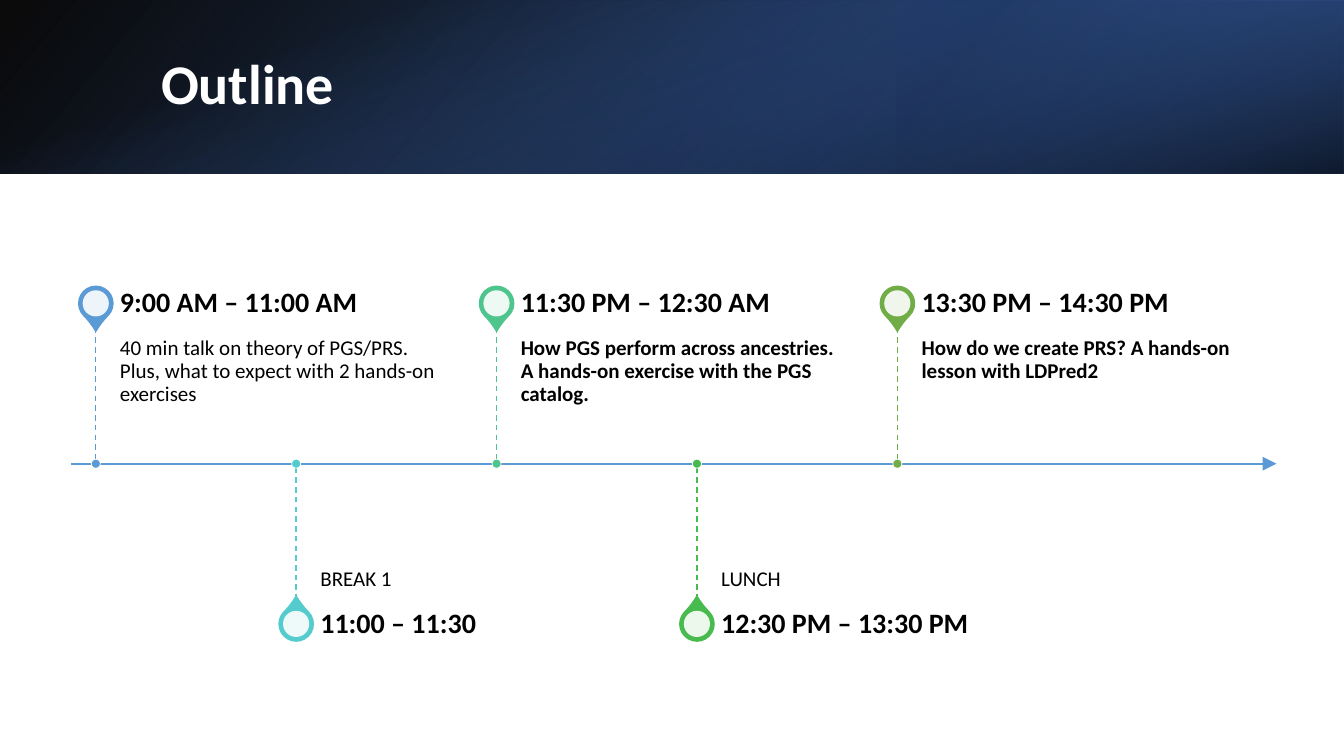
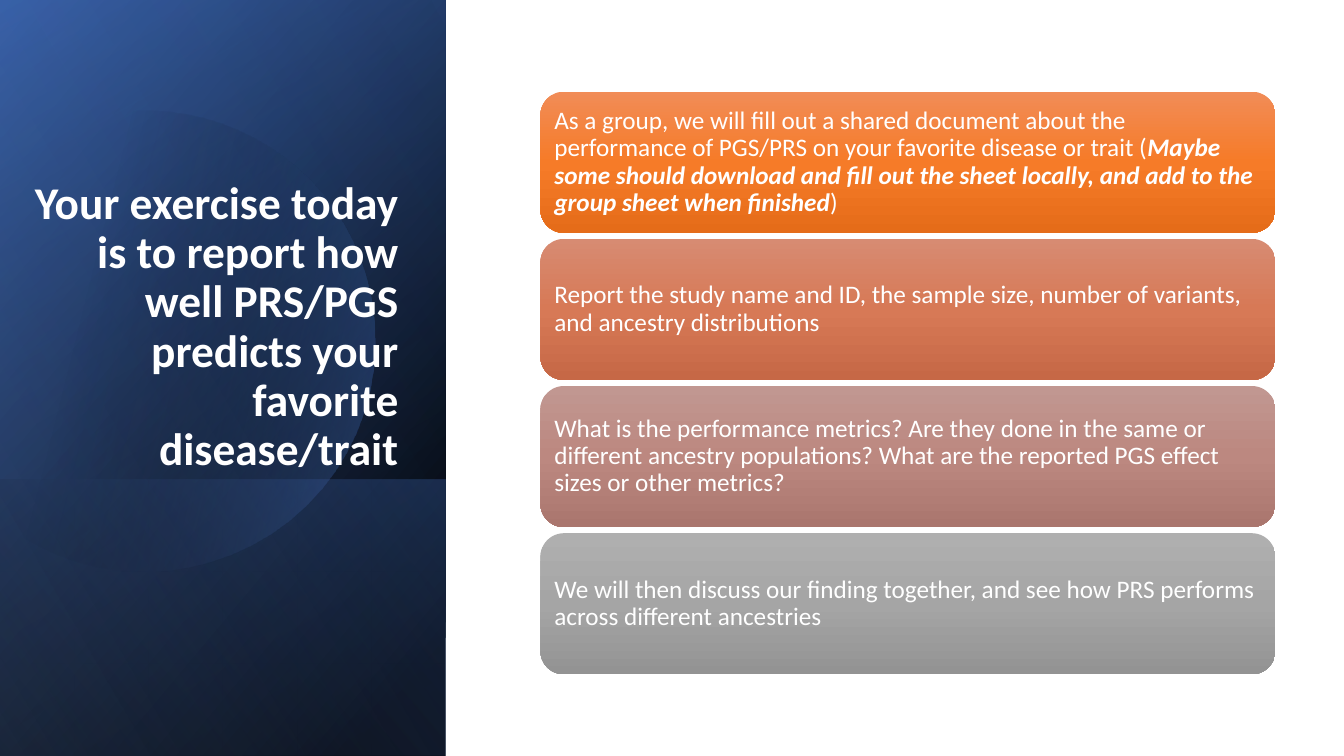
"""Build a two-slide workshop deck: a timeline outline and an exercise brief."""
from lxml.etree import SubElement
from pptx import Presentation
from pptx.dml.color import RGBColor
from pptx.enum.dml import MSO_LINE
from pptx.enum.shapes import MSO_CONNECTOR, MSO_SHAPE as SHAPE
from pptx.enum.text import MSO_ANCHOR as ANCHOR, PP_ALIGN as ALIGN
from pptx.oxml.ns import qn
from pptx.util import Inches, Pt

FONT = "Calibri"
COLORS = {
    "black": "000000", "white": "FFFFFF", "navy": "203864", "deep": "2F5597",
    "royal": "4472C4", "pale": "8FAADC", "sky": "5B9BD5", "aqua": "54CCCD",
    "mint": "4DC58D", "green": "48BB4F", "olive": "70AD47",
}

OUTLINE_TITLE = "Outline"
MILESTONES = [
    ("9:00 AM – 11:00 AM", "40 min talk on theory of PGS/PRS.\vPlus, what to expect with 2 hands-on exercises",
     "sky", False),
    ("11:00 – 11:30", "BREAK 1", "aqua", False),
    ("11:30 PM – 12:30 AM", "How PGS perform across ancestries. A hands-on exercise with the PGS catalog.",
     "mint", True),
    ("12:30 PM – 13:30 PM", "LUNCH", "green", False),
    ("13:30 PM – 14:30 PM", "How do we create PRS? A hands-on lesson with LDPred2", "olive", True),
]

EXERCISE_TITLE = "Your exercise today is to report how well PRS/PGS predicts your favorite disease/trait"
TASKS = [
    (["As a group, we will fill out a shared document about the performance of PGS/PRS on your favorite "
      "disease or trait (",
      "Maybe some should download and fill out the sheet locally, and add to the group sheet when finished",
      ")"], ("F18C57", "F67B28", "E56C19")),
    (["Report the study name and ID, the sample size, number of variants, and ancestry distributions"],
     ("D78B72", "D77956", "C66846")),
    (["What is the performance metrics? Are they done in the same or different ancestry populations? "
      "What are the reported PGS effect sizes or other metrics?"], ("C19791", "BC8880", "AA766E")),
    (["We will then discuss our finding together, and see how PRS performs across different ancestries"],
     ("AFAFAF", "A5A5A5", "939393")),
]

HEADER_LAYERS = [
    ((0, 0, 13.33, 1.72), 0, True, 140, [(0, "black", 96), (100, "deep", 100)]),
    ((8.89, 0, 4.44, 1.72), 180, True, 320, [(19, "navy", 68), (100, "royal", 79)]),
    ((5.8, -5.8, 1.72, 13.33), 90, False, 340, [(23, "royal", 0), (99, "black", 74)]),
]
PANEL = (-1.54, 1.54, 7.5, 4.42)
PANEL_LAYERS = [
    (PANEL, 90, True, 50, [(8, "black", 100), (100, "deep", 100)]),
    (PANEL, 90, True, 30, [(0, "black", 0), (99, "royal", 46)]),
    ((0.84, 3.92, 2.74, 4.42), 90, True, 130, [(2, "royal", 29), (100, "black", 30)]),
]
PANEL_SHEEN = (PANEL, 90, True, 120, [(0, "black", 0), (99, "pale", 11)])

DISC_START = (1.49, 1.1)
DISC_RIGHT = [
    ((2.46, 1.12), (3.35, 1.77), (3.63, 2.75)),
    ((3.98, 3.97), (3.28, 5.23), (2.07, 5.58)),
    ((1.31, 5.8), (0.53, 5.61), (-0.03, 5.14)),
]
DISC_EDGE = [(-0.15, 5.03), (-0.15, 1.75), (0, 1.61)]
DISC_TOP = [
    ((0.23, 1.42), (0.5, 1.28), (0.8, 1.19)),
    ((1.03, 1.13), (1.26, 1.1), (1.49, 1.1)),
]
CURVE_STEPS = 16

AXIS_Y, AXIS_LEFT, AXIS_RIGHT = 4.6, 0.7, 12.66
FIRST_X, LAST_X = 0.95, 8.9
STEM, LABEL_HEIGHT, LABEL_WIDTH, LABEL_GAP = 1.35, 0.48, 3.31, 0.24
PIN, HOLE, DOT = 0.34, 0.26, 0.09
TASK_LEFT, TASK_TOP, TASK_WIDTH, TASK_HEIGHT, TASK_STEP = 5.36, 0.91, 7.29, 1.4, 1.46


def rgb(name):
    return RGBColor.from_string(COLORS.get(name, name))


def fill_gradient(shape, angle, stops):
    shape.fill.gradient()
    gradient = shape._element.spPr.find(qn("a:gradFill"))
    gradient.clear()
    gradient.set("rotWithShape", "1")
    stop_list = SubElement(gradient, qn("a:gsLst"))
    for position, color, opacity in stops:
        stop = SubElement(stop_list, qn("a:gs"), pos=str(position * 1000))
        tint = SubElement(stop, qn("a:srgbClr"), val=COLORS.get(color, color))
        SubElement(tint, qn("a:alpha"), val=str(opacity * 1000))
    SubElement(gradient, qn("a:lin"), ang=str(angle * 60000), scaled="0")


def add_shape(page, kind, box):
    shape = page.shapes.add_shape(kind, *map(Inches, box))
    shape.shadow.inherit = False
    shape.line.fill.background()
    return shape


def add_layer(page, box, rotation, flipped, angle, stops):
    layer = add_shape(page, SHAPE.RECTANGLE, box)
    layer.rotation = rotation
    if flipped:
        layer._element.spPr.find(qn("a:xfrm")).set("flipH", "1")
    fill_gradient(layer, angle, stops)


def add_round(page, kind, x, y, size, color, outline=None, width=1):
    shape = add_shape(page, kind, (x - size / 2, y - size / 2, size, size))
    shape.fill.solid()
    shape.fill.fore_color.rgb = rgb(color)
    if outline:
        shape.line.color.rgb = rgb(outline)
        shape.line.width = Pt(width)
    return shape


def add_line(page, start, end, color, width):
    line = page.shapes.add_connector(MSO_CONNECTOR.STRAIGHT, *map(Inches, start + end))
    line.line.color.rgb = rgb(color)
    line.line.width = Pt(width)
    SubElement(line._element.spPr, qn("a:effectLst"))
    return line


def write(shape, parts, size, color, bold=False, align=ALIGN.LEFT, anchor=ANCHOR.MIDDLE,
          insets=(0.1, 0.05, 0.1, 0.05)):
    frame = shape.text_frame
    frame.word_wrap = True
    frame.vertical_anchor = anchor
    frame.margin_left, frame.margin_top, frame.margin_right, frame.margin_bottom = map(Inches, insets)
    para = frame.paragraphs[0]
    para.alignment = align
    para.line_spacing = 0.9
    if len(parts) == 1:
        para.text = parts[0]
    else:
        for part in parts:
            para.add_run().text = part
    for index, span in enumerate(para.runs):
        emphasized = len(parts) > 1 and index == 1
        span.font.name = FONT
        span.font.size = Pt(size)
        span.font.color.rgb = rgb(color)
        span.font.bold = bold or emphasized
        span.font.italic = emphasized


def add_text(page, box, text, size, color="black", **style):
    write(page.shapes.add_textbox(*map(Inches, box)), [text], size, color, **style)


def add_title(page, box, text, size, **style):
    add_text(page, box, text, size, "white", bold=True, **style)


def curve_points(start, curves):
    for first, second, end in curves:
        for step in range(1, CURVE_STEPS + 1):
            t = step / CURVE_STEPS
            yield tuple((1 - t) ** 3 * a + 3 * (1 - t) ** 2 * t * b + 3 * (1 - t) * t ** 2 * c + t ** 3 * d
                        for a, b, c, d in zip(start, first, second, end))
        start = end


def add_disc(page):
    points = [*curve_points(DISC_START, DISC_RIGHT), *DISC_EDGE, *curve_points(DISC_EDGE[-1], DISC_TOP)]
    builder = page.shapes.build_freeform(*map(Inches, DISC_START))
    builder.add_line_segments([tuple(map(Inches, point)) for point in points], close=True)
    disc = builder.convert_to_shape()
    disc.shadow.inherit = False
    disc.line.fill.background()
    fill_gradient(disc, 14, [(29, "black", 0), (100, "royal", 43)])


def add_milestone(page, index, hours, topic, color, bold):
    x = FIRST_X + (LAST_X - FIRST_X) * index / (len(MILESTONES) - 1)
    above = index % 2 == 0
    side = -1 if above else 1
    stem_y = AXIS_Y + side * STEM
    pin_y = stem_y + side * LABEL_HEIGHT / 2
    pin = add_round(page, SHAPE.TEAR, x, pin_y, PIN, color, color)
    pin.adjustments[0] = 1.15
    pin.rotation = 135 if above else 315
    hole = add_round(page, SHAPE.OVAL, x, pin_y, HOLE, "white")
    tint = hole._element.spPr.find(qn("a:solidFill"))[0]
    SubElement(tint, qn("a:alpha"), val="90000")

    left = x + LABEL_GAP
    add_text(page, (left, min(stem_y, AXIS_Y), LABEL_WIDTH, STEM), topic, 15, bold=bold,
             anchor=ANCHOR.TOP if above else ANCHOR.BOTTOM,
             insets=(0, 0.1, 0.1, 0.16) if above else (0, 0.16, 0, 0.1))
    add_text(page, (left, pin_y - LABEL_HEIGHT / 2, LABEL_WIDTH, LABEL_HEIGHT), hours, 20, bold=True,
             insets=(0, 0, 0.14, 0))
    stem = add_line(page, (x, stem_y), (x, AXIS_Y), color, 1)
    stem.line.dash_style = MSO_LINE.DASH
    add_round(page, SHAPE.OVAL, x, AXIS_Y, DOT, color, "white", 0.5)


def build_outline(page):
    for layer in HEADER_LAYERS:
        add_layer(page, *layer)
    add_title(page, (1.5, 0.38, 10.98, 0.96), OUTLINE_TITLE, 40)
    axis = add_line(page, (AXIS_LEFT, AXIS_Y), (AXIS_RIGHT, AXIS_Y), "sky", 1.5)
    SubElement(axis.line._get_or_add_ln(), qn("a:tailEnd"), type="triangle", w="lg", len="lg")
    for index, milestone in enumerate(MILESTONES):
        add_milestone(page, index, *milestone)


def build_exercise(page):
    for layer in PANEL_LAYERS:
        add_layer(page, *layer)
    add_disc(page)
    add_layer(page, *PANEL_SHEEN)
    add_title(page, (0.22, 1.52, 3.83, 3.24), EXERCISE_TITLE, 32.4, align=ALIGN.RIGHT, anchor=ANCHOR.BOTTOM)
    for index, (parts, shades) in enumerate(TASKS):
        card = add_shape(page, SHAPE.ROUNDED_RECTANGLE,
                         (TASK_LEFT, TASK_TOP + index * TASK_STEP, TASK_WIDTH, TASK_HEIGHT))
        fill_gradient(card, 90, [(place, shade, 100) for place, shade in zip((0, 50, 100), shades)])
        write(card, parts, 18, "white", insets=(0.07,) * 4)


def main():
    deck = Presentation()
    deck.slide_width, deck.slide_height = Inches(13.33), Inches(7.5)
    for build in (build_outline, build_exercise):
        build(deck.slides.add_slide(deck.slide_layouts[6]))
    deck.save("out.pptx")


if __name__ == "__main__":
    main()
